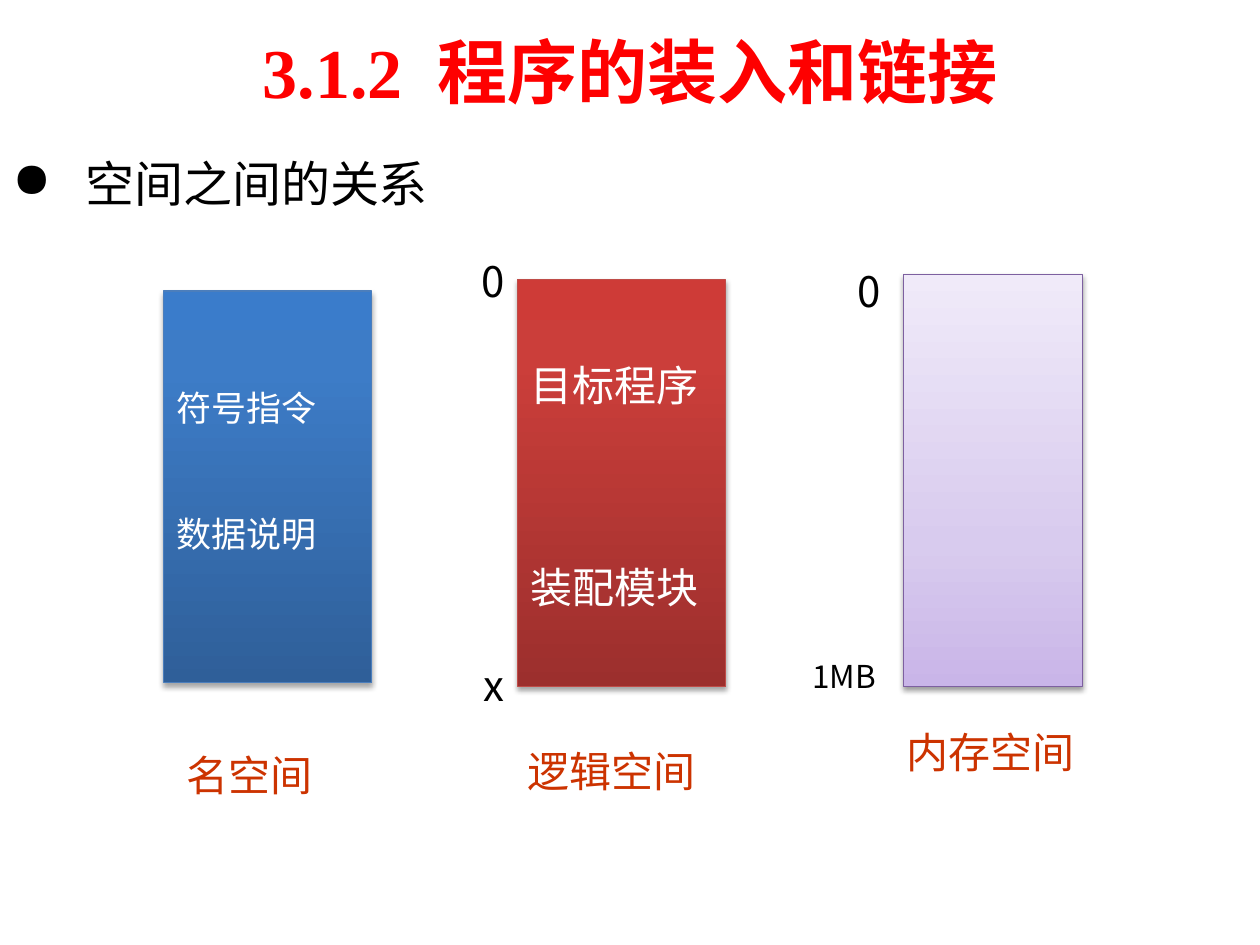
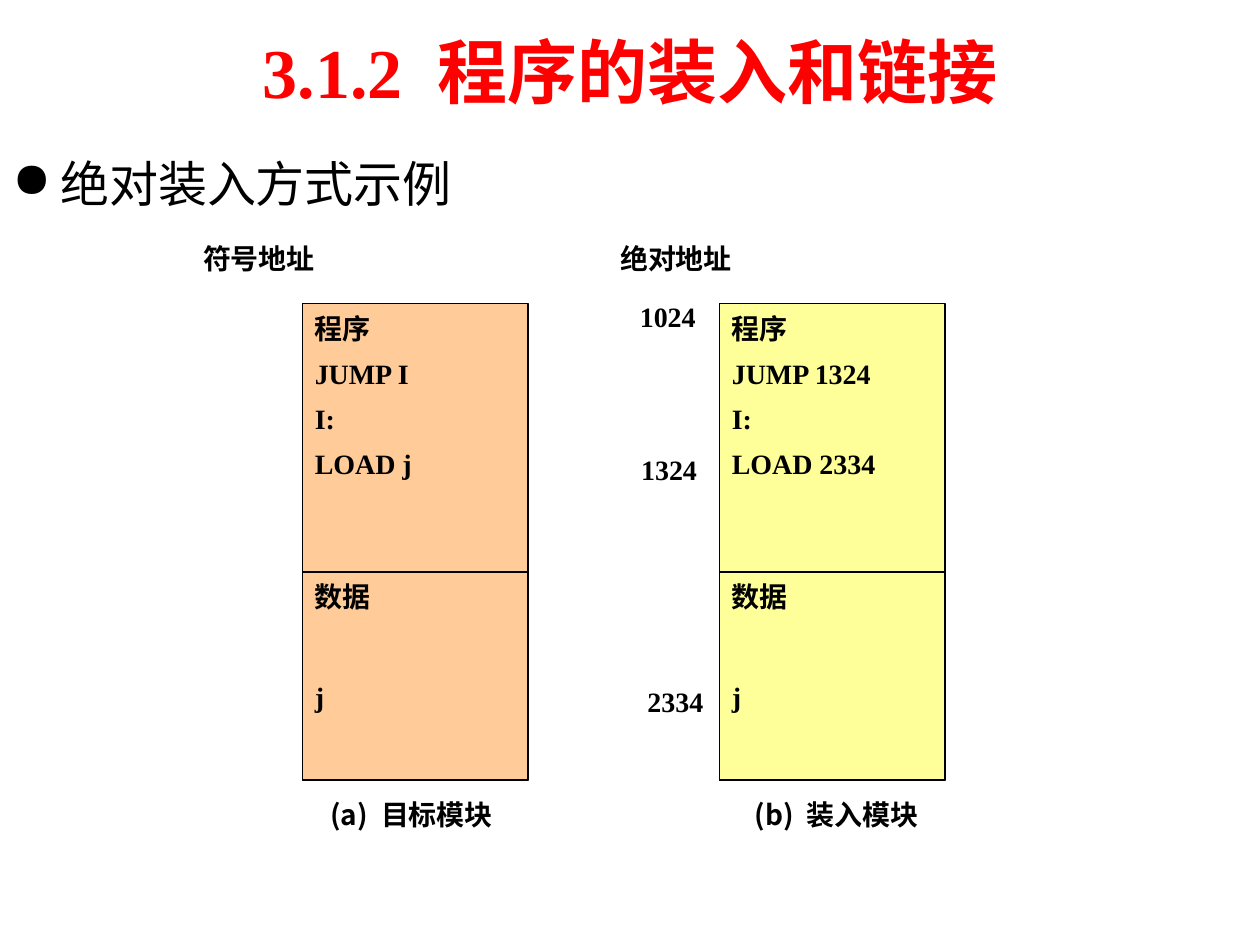
import pptx
import pptx.util
import pptx.dml.color
import pptx.enum.shapes
import pptx.enum.text
import pptx.oxml
import pptx.oxml.ns
from lxml import etree

Inches = pptx.util.Inches
Pt = pptx.util.Pt
qn = pptx.oxml.ns.qn
ALIGN = pptx.enum.text.PP_ALIGN
ANCHOR = pptx.enum.text.MSO_ANCHOR
RECTANGLE = pptx.enum.shapes.MSO_SHAPE.RECTANGLE

COLORS = {
    "white": "FFFFFF", "black": "000000", "title": "FE0000", "caption": "CC3300",
    "object_module": "FFCC99", "load_module": "FFFF99",
    "name_line": "4B7EBC", "logic_line": "BF4C48", "memory_line": "7D60A0",
}
# Gradient stops run from the bottom edge to the top edge
GRADIENTS = {
    "name": [(0, "2F5F99"), (80, "3D7CC7"), (100, "3A7CCB")],
    "logic": [(0, "9C2F2D"), (80, "CB3E3A"), (100, "CE3B37")],
    "memory": [(0, "C9B5E8"), (35, "D8CBEE"), (100, "F0EAF9")],
}
SANS, SERIF, ARIAL = "Noto Sans CJK SC", "Times New Roman", "Arial"
LINE_PITCH = 1.25


def rgb(name):
    return pptx.dml.color.RGBColor.from_string(COLORS[name])


def add_run(paragraph, text, size, font, color="black", bold=False, tracking=0):
    run = paragraph.add_run()
    run.text = text
    run.font.size = Pt(size)
    run.font.name = font
    run.font.bold = bold
    run.font.color.rgb = rgb(color)
    properties = run._r.get_or_add_rPr()
    etree.SubElement(properties, qn("a:ea")).set("typeface", SANS)
    if tracking:
        properties.set("spc", str(tracking * 100))


def add_spaced_runs(paragraph, number, text, size, font, color="black"):
    """Bold number and text, with a widened space between them."""
    add_run(paragraph, number, size, font, color, True)
    add_run(paragraph, " ", size, font, color, True, tracking=size // 4)
    add_run(paragraph, text, size, font, color, True)


def set_pitch(paragraph, size, ratio=LINE_PITCH):
    paragraph.line_spacing = Pt(size * ratio)


def write_lines(shape, lines, size, font, gap, color="black", bold=False, top=0.05):
    """Left-aligned lines from the top of a shape, gap points apart."""
    frame = shape.text_frame
    frame.word_wrap = True
    frame.vertical_anchor = ANCHOR.TOP
    frame.margin_top = Inches(top)
    for index, line in enumerate(lines):
        paragraph = frame.add_paragraph() if index else frame.paragraphs[0]
        paragraph.alignment = ALIGN.LEFT
        paragraph.space_before = Pt(gap if index else 0)
        set_pitch(paragraph, size)
        add_run(paragraph, line, size, font, color, bold)


def add_text_box(shapes, box, wrap=True):
    text_box = shapes.add_textbox(*map(Inches, box))
    text_box.text_frame.word_wrap = wrap
    return text_box


def add_label(shapes, box, text, size, font, color="black", bold=False,
              wrap=True, align=ALIGN.LEFT):
    paragraph = add_text_box(shapes, box, wrap).text_frame.paragraphs[0]
    paragraph.alignment = align
    set_pitch(paragraph, size)
    add_run(paragraph, text, size, font, color, bold)


def add_rectangle(shapes, box, line, fill=None):
    shape = shapes.add_shape(RECTANGLE, *map(Inches, box))
    shape.shadow.inherit = False
    shape.line.color.rgb = rgb(line)
    shape.line.width = Pt(0.75)
    if fill:
        shape.fill.solid()
        shape.fill.fore_color.rgb = rgb(fill)
    else:
        shape.fill.background()
    return shape


def add_titled_slide(presentation):
    slide = presentation.slides.add_slide(presentation.slide_layouts[5])
    title = slide.shapes.title
    title.left, title.top, title.width, title.height = map(Inches, (0.5, 0.05, 9, 1.02))
    title.text_frame.vertical_anchor = ANCHOR.MIDDLE
    paragraph = title.text_frame.paragraphs[0]
    paragraph.alignment = ALIGN.CENTER
    add_spaced_runs(paragraph, "3.1.2", "程序的装入和链接", 40, SERIF, "title")
    return slide


def add_bullet(slide, box, text, font, indent, pitch=LINE_PITCH):
    text_box = add_text_box(slide.shapes, box)
    paragraph = text_box.text_frame.paragraphs[0]
    set_pitch(paragraph, 28, pitch)
    properties = paragraph._p.get_or_add_pPr()
    properties.set("marL", str(Inches(indent)))
    properties.set("indent", str(-Inches(indent)))
    etree.SubElement(properties, qn("a:buChar")).set("char", "●")
    add_run(paragraph, text, 28, font)
    return text_box


def add_space_block(slide, box, kind, shadow_opacity=35, shadow_distance=1.8):
    """Address space: a gradient rectangle with a soft shadow below."""
    shape = add_rectangle(slide.shapes, box, kind + "_line", "white")
    properties = shape._element.spPr
    stops = "".join(
        f'<a:gs pos="{position * 1000}"><a:srgbClr val="{color}"/></a:gs>'
        for position, color in GRADIENTS[kind])
    namespace = pptx.oxml.ns.nsdecls("a")
    gradient = pptx.oxml.parse_xml(
        f'<a:gradFill {namespace} rotWithShape="1"><a:gsLst>{stops}</a:gsLst>'
        '<a:lin ang="16200000" scaled="0"/></a:gradFill>')
    properties.replace(properties.find(qn("a:solidFill")), gradient)
    properties.find(qn("a:effectLst")).append(pptx.oxml.parse_xml(
        f'<a:outerShdw {namespace} blurRad="{Pt(3.1)}" dist="{Pt(shadow_distance)}" '
        'dir="5400000" rotWithShape="0"><a:srgbClr val="000000">'
        f'<a:alpha val="{shadow_opacity * 1000}"/></a:srgbClr></a:outerShdw>'))
    return shape


def add_module(slide, box, fill, code, heading, number, caption, caption_box, addresses=()):
    """Module: code above data, heading at upper left, caption below."""
    left, top, width, height = box
    shapes = slide.shapes.add_group_shape().shapes
    data_height = 1.65

    # Code and data areas
    program = add_rectangle(shapes, box, "black", fill)
    write_lines(program, code, 16, SERIF, 5.7, bold=True)
    data_box = (left, top + height - data_height, width, data_height)
    data = add_rectangle(shapes, data_box, "black")
    write_lines(data, ["数据", "j"], 16, SERIF, 37, bold=True)

    # Caption
    paragraph = add_text_box(shapes, caption_box).text_frame.paragraphs[0]
    paragraph.alignment = ALIGN.CENTER
    set_pitch(paragraph, 16)
    add_spaced_runs(paragraph, number, caption, 16, SANS)

    # Heading and addresses beside the areas
    labels = [(heading, -1.02, -0.55, 1.35)]
    labels += [(text, x, y, 0.94) for text, x, y in addresses]
    for text, x, y, label_width in labels:
        add_label(shapes, (left + x, top + y, label_width, 0.47), text, 16, SERIF,
                  bold=True, align=ALIGN.CENTER)


def build_spaces_slide(presentation):
    slide = add_titled_slide(presentation)
    body = add_bullet(slide, (0, 1.15, 9.06, 5.35), "空间之间的关系", SANS, 0.58)
    body.fill.solid()
    body.fill.fore_color.rgb = rgb("white")

    # The three spaces
    names = add_space_block(slide, (1.3, 2.31, 1.65, 3.11), "name")
    write_lines(names, ["符号指令", "数据说明"], 20, SANS, 47, "white", top=0.74)
    logic = add_space_block(slide, (4.11, 2.22, 1.65, 3.23), "logic")
    write_lines(logic, ["目标程序", "装配模块"], 24, ARIAL, 85, "white", top=0.62)
    add_space_block(slide, (7.17, 2.18, 1.42, 3.27), "memory", 38, 1.6)

    # Captions
    for text, left, top, width in [("名空间", 1.38, 5.88, 1.21),
                                   ("逻辑空间", 4.09, 5.85, 1.55),
                                   ("内存空间", 7.1, 5.7, 1.54)]:
        add_label(slide.shapes, (left, top, width, 0.51), text, 24, ARIAL,
                  "caption", wrap=False)

    # First and last addresses
    for text, left, top, width in [("0", 6.71, 2.04, 0.39), ("0", 3.72, 1.96, 0.39),
                                   ("x", 3.74, 5.17, 0.36)]:
        add_label(slide.shapes, (left, top, width, 0.51), text, 24, SANS, wrap=False)
    add_label(slide.shapes, (6.35, 5.15, 0.79, 0.41), "1MB", 18, SANS)


def build_loading_slide(presentation):
    slide = add_titled_slide(presentation)
    add_module(slide, (5.71, 2.41, 1.79, 3.78), "load_module",
               ["程序", "JUMP 1324", "I:", "LOAD 2334"], "绝对地址",
               "(b)", "装入模块", (5.63, 6.27, 2.02, 0.47),
               [("1024", -0.88, -0.09), ("1324", -0.87, 1.12), ("2334", -0.82, 2.96)])
    add_module(slide, (2.4, 2.41, 1.79, 3.78), "object_module",
               ["程序", "JUMP I", "I:", "LOAD j"], "符号地址",
               "(a)", "目标模块", (2.32, 6.27, 1.89, 0.47))
    add_bullet(slide, (0, 1.23, 9, 4.28), "绝对装入方式示例", SERIF, 0.38, pitch=1.05)


presentation = pptx.Presentation()
presentation.slide_width, presentation.slide_height = Inches(10), Inches(7.5)
build_spaces_slide(presentation)
build_loading_slide(presentation)
presentation.save("out.pptx")
